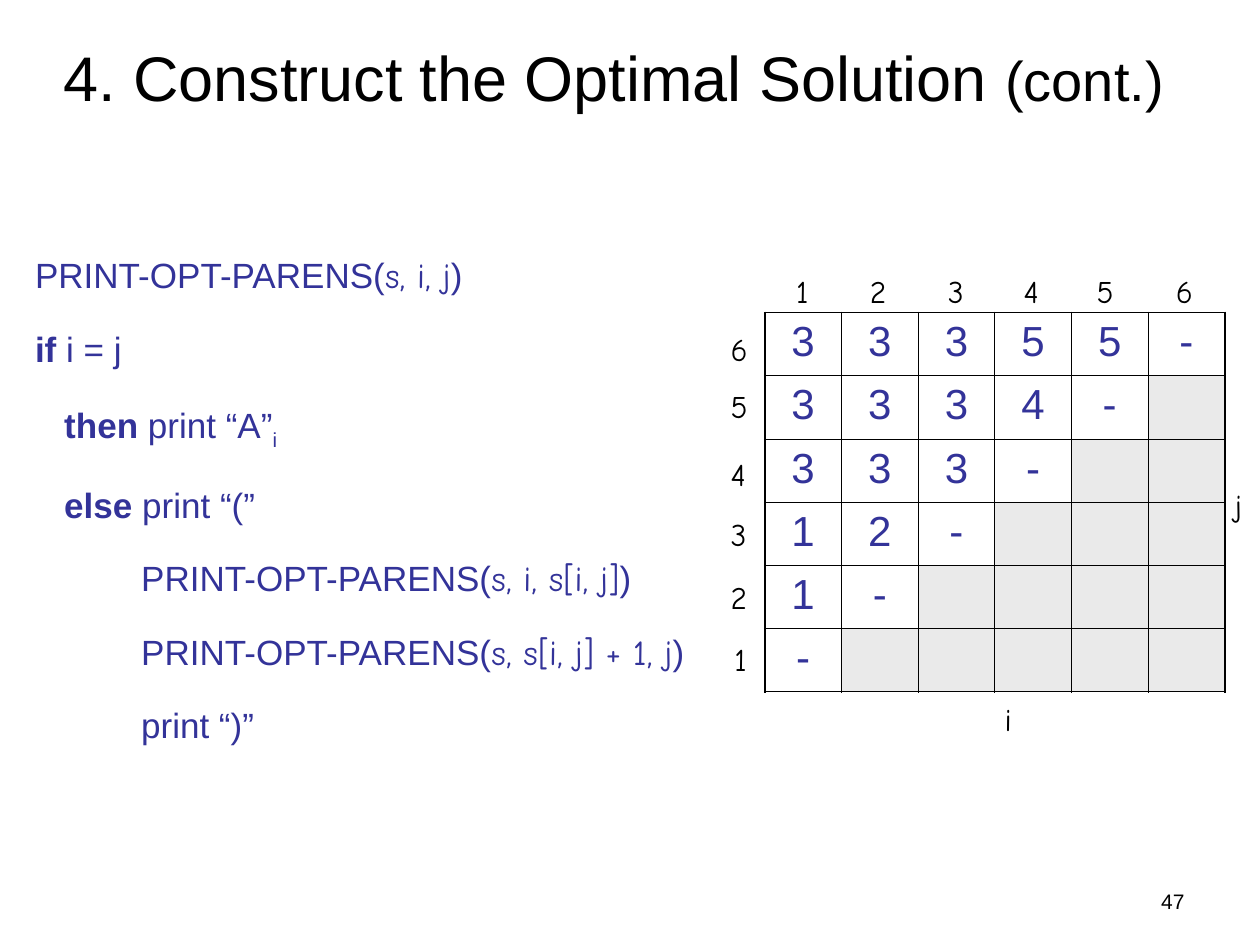
from collections import namedtuple
from dataclasses import dataclass

from lxml import etree
from pptx import Presentation
from pptx.dml.color import RGBColor
from pptx.enum.text import MSO_ANCHOR, PP_ALIGN
from pptx.oxml.ns import qn
from pptx.util import Inches, Pt

LEFT, CENTER, RIGHT = PP_ALIGN.LEFT, PP_ALIGN.CENTER, PP_ALIGN.RIGHT
MIDDLE = MSO_ANCHOR.MIDDLE
BLANK_LAYOUT = 6

Box = namedtuple("Box", "left top width height")


@dataclass(frozen=True)
class Theme:
    black: str = "000000"
    indigo: str = "333399"
    gray: str = "EAEAEA"
    sans: str = "Arial"
    comic: str = "Comic Neue"
    title: int = 36
    title_note: int = 32
    cell: int = 24
    code: int = 20
    label: int = 18
    footer: int = 12
    outer_line: float = 1.08
    inner_line: float = 0.45


THEME = Theme()

# Each line of code is a list of (text, style) runs.
CODE = [
    [("PRINT-OPT-PARENS(", ""), ("s, i, j", "comic"), (")", "")],
    [("if", "bold"), (" i = j", "")],
    [("   ", ""), ("then", "bold"), (" print “A”", ""), ("i", "subscript")],
    [("   ", ""), ("else", "bold"), (" print “(”", "")],
    [("\t      PRINT-OPT-PARENS(", ""), ("s, i, s[i, j]", "comic"), (")", "")],
    [("\t      PRINT-OPT-PARENS(", ""), ("s, s[i, j] + 1, j", "comic"), (")", "")],
    [("\t      print “)”", "")],
]

SPLITS = ["33355-", "3334-", "333-", "12-", "1-", "-"]
COLUMN_CENTERS = [0.3, 0.9, 1.52, 2.12, 2.7, 3.33]
ROW_LABEL_TOPS = [0.09, 0.54, 1.08, 1.56, 2.06, 2.55]
LABEL_WIDTHS = {"1": 0.3, "i": 0.25, "j": 0.3}


def add_run(paragraph, text, size, color=THEME.black, font=THEME.sans):
    run = paragraph.add_run()
    run.text = text
    run.font.size = Pt(size)
    run.font.name = font
    run.font.color.rgb = RGBColor.from_string(color)
    return run


def add_text_frame(slide, box, wrap=True):
    frame = slide.shapes.add_textbox(*(Inches(length) for length in box)).text_frame
    frame.word_wrap = wrap
    return frame


def add_title(slide, box):
    frame = add_text_frame(slide, box)
    frame.margin_left = frame.margin_right = 0
    frame.margin_top = frame.margin_bottom = 0
    frame.vertical_anchor = MIDDLE
    paragraph = frame.paragraphs[0]
    paragraph.alignment = CENTER
    add_run(paragraph, "4. Construct the Optimal Solution ", THEME.title)
    add_run(paragraph, "(cont.)", THEME.title_note)


def add_slide_number(slide, box):
    paragraph = add_text_frame(slide, box).paragraphs[0]
    paragraph.alignment = RIGHT
    add_run(paragraph, "47", THEME.footer)


def add_code(slide, box):
    frame = add_text_frame(slide, box)
    for index, line in enumerate(CODE):
        paragraph = frame.add_paragraph() if index else frame.paragraphs[0]
        paragraph.alignment = LEFT
        paragraph.line_spacing = 1.5
        if index:
            paragraph.space_before = Pt(6)
        properties = paragraph._p.get_or_add_pPr()
        properties.set("marL", str(Inches(0.38)))
        properties.set("indent", str(-Inches(0.38)))
        for text, style in line:
            font = THEME.comic if style == "comic" else THEME.sans
            run = add_run(paragraph, text, THEME.code, THEME.indigo, font)
            if style == "bold":
                run.font.bold = True
            elif style == "subscript":
                run._r.get_or_add_rPr().set("baseline", "-25000")


def set_border(cell, side, width):
    properties = cell._tc.get_or_add_tcPr()
    line = etree.SubElement(properties, qn(f"a:ln{side}"), w=str(Pt(width)))
    fill = etree.SubElement(line, qn("a:solidFill"))
    etree.SubElement(fill, qn("a:srgbClr"), val=THEME.black)


def add_split_table(slide, box):
    count = len(SPLITS)
    last = count - 1
    lengths = (Inches(length) for length in box)
    table = slide.shapes.add_table(count, count, *lengths).table
    table.first_row = table.horz_banding = False
    for column in table.columns:
        column.width = Inches(box.width / count)
    for row in table.rows:
        row.height = Inches(box.height / count)
    for row, values in enumerate(SPLITS):
        for column in range(count):
            cell = table.cell(row, column)
            edges = {"L": column == 0, "R": column == last,
                     "T": row == 0, "B": row == last}
            for side, is_outer in edges.items():
                set_border(cell, side, THEME.outer_line if is_outer else THEME.inner_line)
            if column < len(values):
                cell.fill.background()
                paragraph = cell.text_frame.paragraphs[0]
                paragraph.alignment = CENTER
                add_run(paragraph, values[column], THEME.cell, THEME.indigo)
            else:
                cell.fill.solid()
                cell.fill.fore_color.rgb = RGBColor.from_string(THEME.gray)


def add_label(slide, text, center, top):
    width = LABEL_WIDTHS.get(text, 0.33)
    frame = add_text_frame(slide, Box(center - width / 2, top, width, 0.4), wrap=False)
    add_run(frame.paragraphs[0], text, THEME.label, font=THEME.comic)


def add_table_labels(slide, box):
    """Number the columns and rows around the table box and name its axes."""
    for number, center in enumerate(COLUMN_CENTERS, start=1):
        add_label(slide, str(number), box.left + center, box.top - 0.37)
    for index, top in enumerate(ROW_LABEL_TOPS):
        text = str(len(ROW_LABEL_TOPS) - index)
        center = box.left - 0.04 - LABEL_WIDTHS.get(text, 0.33) / 2
        add_label(slide, text, center, box.top + top)
    add_label(slide, "i", box.left + 1.93, box.top + box.height + 0.02)
    add_label(slide, "j", box.left + box.width + 0.13, box.top + 1.33)


def main():
    presentation = Presentation()
    presentation.slide_width = Inches(10)
    presentation.slide_height = Inches(7.5)
    slide = presentation.slides.add_slide(presentation.slide_layouts[BLANK_LAYOUT])
    table_box = Box(6.07, 2.48, 3.65, 3.01)
    add_title(slide, Box(0.37, 0.11, 9, 0.99))
    add_slide_number(slide, Box(7.17, 7, 2.33, 0.35))
    add_split_table(slide, table_box)
    add_table_labels(slide, table_box)
    add_code(slide, Box(0.18, 1.8, 8, 5.23))
    presentation.save("out.pptx")


if __name__ == "__main__":
    main()
